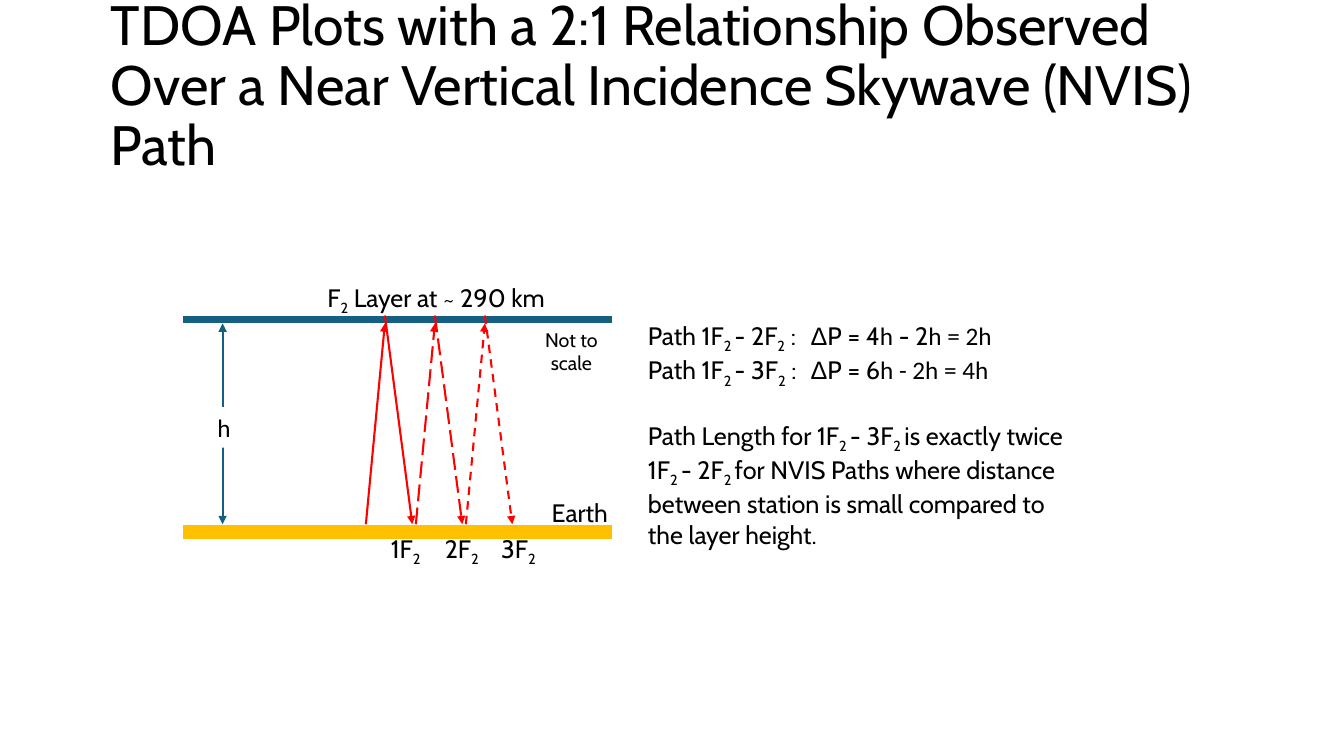
import pptx
import pptx.dml.color
import pptx.enum.dml
import pptx.enum.shapes
import pptx.enum.text
import pptx.oxml
import pptx.oxml.ns
import pptx.util

Cm, Pt = pptx.util.Cm, pptx.util.Pt
ALIGN = pptx.enum.text.PP_ALIGN
ANCHOR = pptx.enum.text.MSO_ANCHOR
DASH = pptx.enum.dml.MSO_LINE

COLORS = {"text": "000000", "layer": "156082", "earth": "FFC000",
          "ray": "FF0000", "paper": "FFFFFF"}
FONTS = {"body": "Cabin", "sub": "Cabin", "greek": "Arial", "math": "Calibri"}

# Text is a list of paragraphs; a paragraph is a list of (text, style) runs.
TITLE = [[("TDOA Plots with a 2:1 Relationship Observed Over a Near Vertical "
           "Incidence Skywave (NVIS) Path", "body")]]
LAYER_LABEL = [[("F", "body"), ("2", "sub"), (" Layer at ~ 290 km", "body")]]
HOP_LABELS = [[("1F", "body"), ("2", "sub"), ("\t2F", "body"), ("2", "sub"),
               ("\t3F", "body"), ("2", "sub")]]
EARTH_LABEL = [[("Earth", "body")]]
HEIGHT_LABEL = [[("h", "math")]]
SCALE_NOTE = [[("Not to scale", "body")]]
EQUATIONS = [
    [("Path 1F", "body"), ("2 ", "sub"), ("- 2F", "body"), ("2", "sub"),
     (" :\t", "body"), ("Δ", "greek"), ("P = 4", "body"), ("h ", "math"),
     ("- 2", "body"), ("h = 2h", "math")],
    [("Path 1F", "body"), ("2 ", "sub"), ("- 3F", "body"), ("2", "sub"),
     (" :\t", "body"), ("Δ", "greek"), ("P = 6", "body"),
     ("h - 2h = 4h", "math")],
]
CONCLUSION = [
    [("Path Length for 1F", "body"), ("2 ", "sub"), ("- 3F", "body"),
     ("2 ", "sub"), ("is exactly twice", "body")],
    [("1F", "body"), ("2 ", "sub"), ("- 2F", "body"), ("2 ", "sub"),
     ("for NVIS Paths where distance between station is small compared to "
      "the layer height.", "body")],
]

# Diagram geometry in centimetres
LEFT, RIGHT = 4.62, 15.42
LAYER_Y, EARTH_Y = 8.05, 13.41
RAY_TOP, RAY_TIP, RAY_BOTTOM = 7.95, 8.15, 13.21
HOP_START, HOP_PITCH, HOP_RISE, HOP_WIDTH = 9.22, 1.26, 0.48, 1.17
HOP_DASHES = [DASH.SOLID, DASH.LONG_DASH, DASH.DASH]
HEIGHT_X = 5.61


def rgb(name):
    return pptx.dml.color.RGBColor.from_string(COLORS[name])


def write_text(shape, paragraphs, size=18, align=ALIGN.LEFT, anchor=ANCHOR.TOP,
               wrap=True, line_spacing=None, tabs=(), gaps=None):
    """Fill a shape; tabs are in cm, gaps maps paragraph index to points before."""
    frame = shape.text_frame
    frame.word_wrap = wrap
    frame.auto_size = pptx.enum.text.MSO_AUTO_SIZE.NONE
    frame.vertical_anchor = anchor
    for index, runs in enumerate(paragraphs):
        paragraph = frame.paragraphs[0] if index == 0 else frame.add_paragraph()
        paragraph.alignment = align
        paragraph.space_before = Pt((gaps or {}).get(index, 0))
        if line_spacing:
            paragraph.line_spacing = line_spacing
        if tabs:
            properties = paragraph._p.get_or_add_pPr()
            tab_list = pptx.oxml.ns.qn("a:tabLst")
            tab_list = properties.makeelement(tab_list, {})
            properties.append(tab_list)
            for position in tabs:
                tab = tab_list.makeelement(
                    pptx.oxml.ns.qn("a:tab"), {"pos": str(Cm(position)), "algn": "l"})
                tab_list.append(tab)
        for text, style in runs:
            run = paragraph.add_run()
            run.text = text
            run.font.name = FONTS[style]
            run.font.size = Pt(size)
            run.font.color.rgb = rgb("text")
            if style == "sub":
                run.font._element.set("baseline", "-25000")


def add_text(slide, box, paragraphs, **text_format):
    shape = slide.shapes.add_textbox(*map(Cm, box))
    write_text(shape, paragraphs, **text_format)
    return shape


def add_line(slide, start, end, color, width, dash=DASH.SOLID, arrows=()):
    """Draw a line; arrows may hold headEnd (start) and tailEnd (end)."""
    line = slide.shapes.add_connector(
        pptx.enum.shapes.MSO_CONNECTOR.STRAIGHT, *map(Cm, (*start, *end)))
    line.line.color.rgb = rgb(color)
    line.line.width = Pt(width)
    line.line.dash_style = dash
    outline = line.line._get_or_add_ln()
    for arrow in arrows:
        outline.append(outline.makeelement(
            pptx.oxml.ns.qn(f"a:{arrow}"), {"type": "triangle"}))
    properties = line._element.spPr
    properties.append(properties.makeelement(pptx.oxml.ns.qn("a:effectLst"), {}))


def add_title(slide):
    title = slide.shapes.title
    title.left, title.top, title.width, title.height = map(
        Cm, (2.54, 0.36, 29.21, 3.68))
    write_text(title, TITLE, size=39.6, anchor=ANCHOR.MIDDLE, line_spacing=0.9)


def add_diagram(slide):
    add_text(slide, (8, 6.99, 6.02, 1.02), LAYER_LABEL, wrap=False)
    add_line(slide, (LEFT, EARTH_Y), (RIGHT, EARTH_Y), "earth", 10)
    add_line(slide, (LEFT, LAYER_Y), (RIGHT, LAYER_Y), "layer", 4.75)
    for index, dash in enumerate(HOP_DASHES):
        start = HOP_START + index * HOP_PITCH
        apex, end = start + HOP_RISE, start + HOP_WIDTH
        for ray in (((start, RAY_BOTTOM), (apex, RAY_TIP)),
                    ((apex, RAY_TOP), (end, RAY_BOTTOM))):
            add_line(slide, *ray, "ray", 1.5, dash, ["tailEnd"])
    add_text(slide, (9.6, 13.31, 4.39, 1.02), HOP_LABELS, tabs=(1.36, 2.78))
    add_text(slide, (13.59, 12.4, 1.98, 1.02), EARTH_LABEL,
             align=ALIGN.RIGHT, wrap=False)
    add_line(slide, (HEIGHT_X, RAY_TIP), (HEIGHT_X, RAY_BOTTOM), "layer", 1.5,
             arrows=["headEnd", "tailEnd"])
    height = add_text(slide, (5.23, 10.26, 0.86, 1.02), HEIGHT_LABEL, wrap=False)
    height.fill.solid()
    height.fill.fore_color.rgb = rgb("paper")
    add_text(slide, (13.41, 8.13, 1.98, 1.47), SCALE_NOTE, size=14,
             align=ALIGN.CENTER)


def main():
    presentation = pptx.Presentation()
    presentation.slide_width, presentation.slide_height = Cm(33.87), Cm(19.05)
    slide = presentation.slides.add_slide(presentation.slide_layouts[5])
    add_title(slide)
    add_diagram(slide)
    add_text(slide, (16.08, 7.95, 11.3, 5.64), EQUATIONS + CONCLUSION,
             tabs=(4.1,), gaps={len(EQUATIONS): 22})
    presentation.save("out.pptx")


if __name__ == "__main__":
    main()
